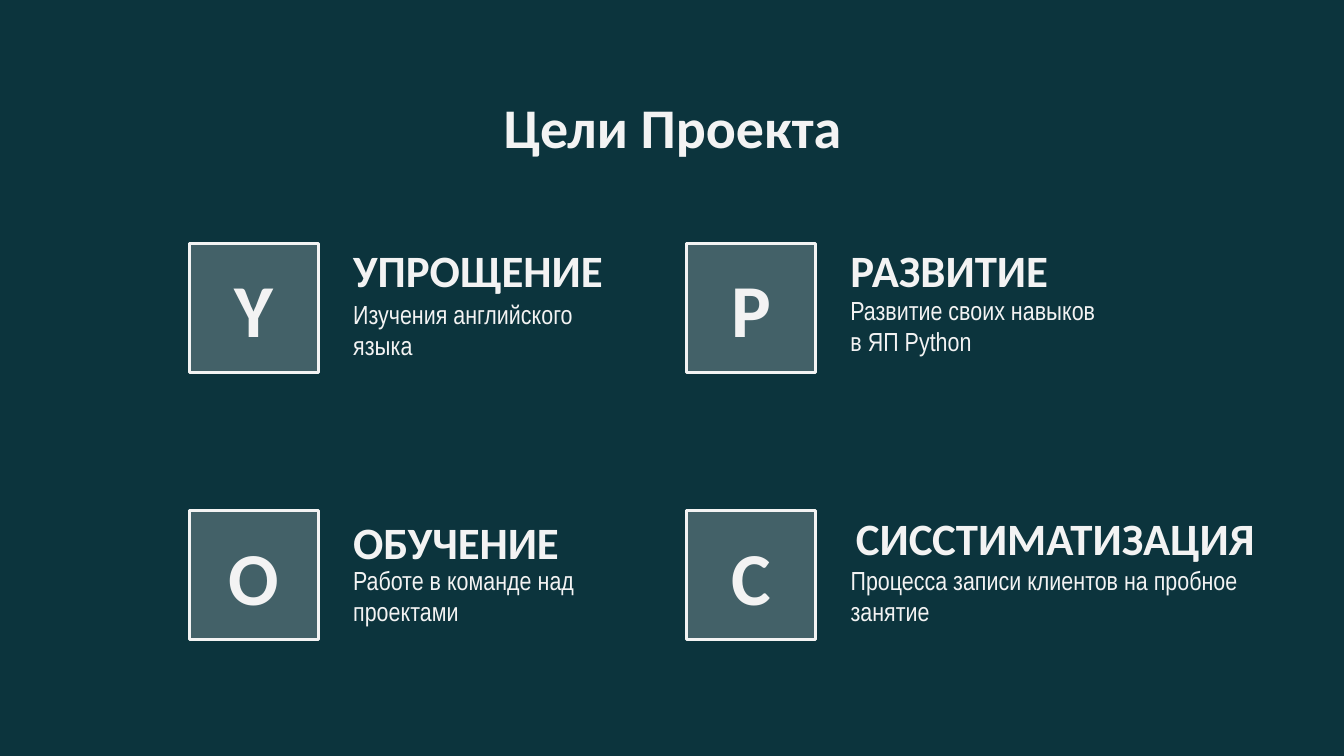
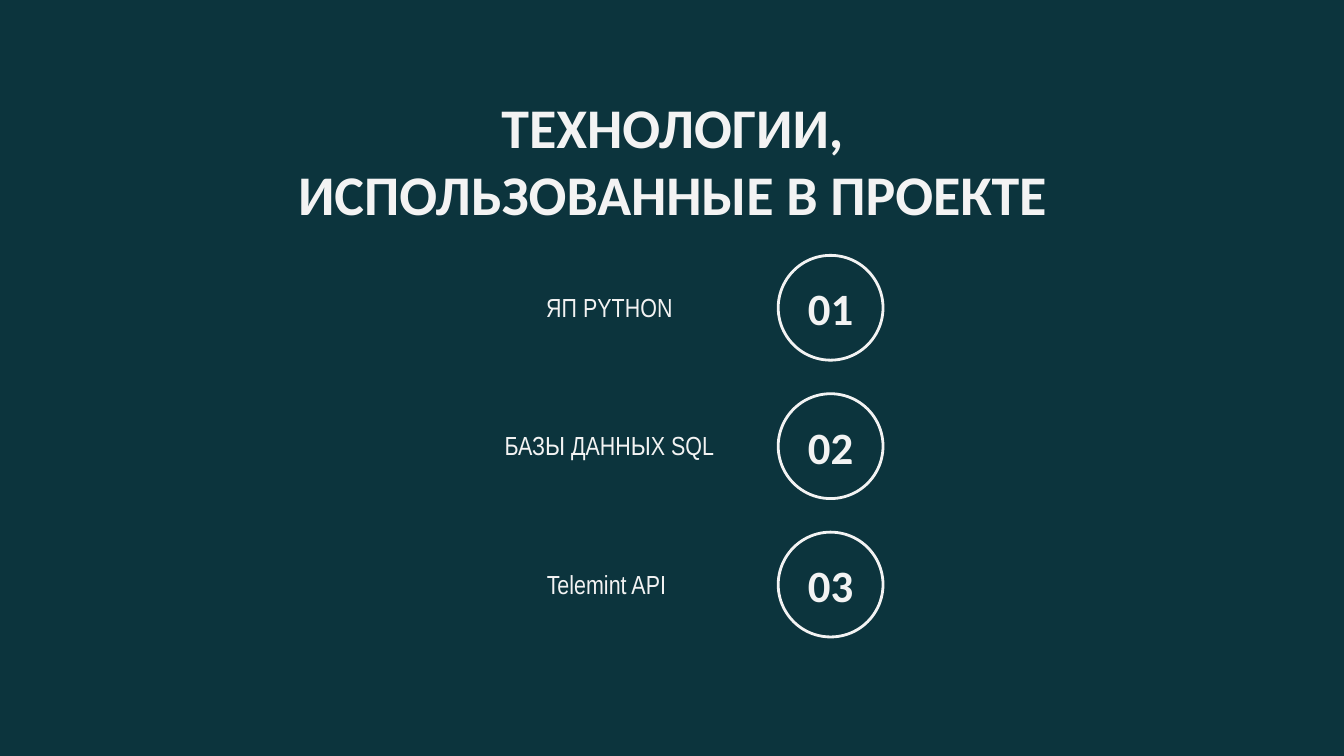
from pptx import Presentation
from pptx.dml.color import RGBColor
from pptx.enum.shapes import MSO_SHAPE
from pptx.enum.text import MSO_ANCHOR, PP_ALIGN
from pptx.oxml.xmlchemy import OxmlElement
from pptx.util import Inches, Pt

# Shared style
BACKGROUND, LIGHT = "0C343D", "F3F3F3"
HEADING_FONT, BODY_FONT = "Calibri", "Arial Narrow"
LEFT, CENTER = PP_ALIGN.LEFT, PP_ALIGN.CENTER
TOP, MIDDLE, BOTTOM = MSO_ANCHOR.TOP, MSO_ANCHOR.MIDDLE, MSO_ANCHOR.BOTTOM
TILE, CIRCLE = MSO_SHAPE.ROUNDED_RECTANGLE, MSO_SHAPE.OVAL

# Goals: letter, heading, heading shift (x, y), description, description drop, text width
GOALS = [
    ("Y", "УПРОЩЕНИЕ", (0, 0), "Изучения английского \nязыка", 0.31, 2.36),
    ("P", "РАЗВИТИЕ", (0, 0), "Развитие своих навыков \nв ЯП Python", 0.28, 2.36),
    ("O", "ОБУЧЕНИЕ", (0, 0.03), "Работе в команде над \nпроектами", 0.3, 2.36),
    ("C", "СИССТИМАТИЗАЦИЯ", (0.04, 0),
     "Процесса записи клиентов на пробное занятие", 0.3, 3.59),
]
TECHNOLOGIES = ["ЯП PYTHON", "БАЗЫ ДАННЫХ SQL", "Telemint API "]


def color(hex_code):
    return RGBColor.from_string(hex_code)


def write(shape, text, size, font_name, align, anchor):
    """Fill a shape with one paragraph in a single style."""
    frame = shape.text_frame
    frame.word_wrap = True
    frame.vertical_anchor = anchor
    frame.margin_left = frame.margin_right = Inches(0.1)
    frame.margin_top = frame.margin_bottom = Inches(0.1)
    para = frame.paragraphs[0]
    para.text = text
    para.alignment = align
    para.font.name = font_name
    para.font.size = Pt(size)
    para.font.bold = font_name == HEADING_FONT
    para.font.color.rgb = color(LIGHT)


def add_text(page, bounds, text, size, font_name, align=LEFT, anchor=TOP):
    box = page.shapes.add_textbox(*map(Inches, bounds))
    write(box, text, size, font_name, align, anchor)


def add_badge(page, kind, left, top, side, text, size):
    """Outlined square or circle with centred text."""
    badge = page.shapes.add_shape(kind, *map(Inches, (left, top, side, side)))
    badge.shadow.inherit = False
    badge.fill.background()
    badge.line.color.rgb = color(LIGHT)
    badge.line.width = Pt(1.5)
    write(badge, text, size, HEADING_FONT, CENTER, MIDDLE)
    return badge


def add_tile(page, left, top, letter):
    tile = add_badge(page, TILE, left, top, 0.96, letter, 40)
    tile.adjustments[0] = 0
    tile.fill.solid()
    tile.fill.fore_color.rgb = color(LIGHT)
    alpha = OxmlElement("a:alpha")
    alpha.set("val", "24000")
    tile.fill._xPr.solidFill[0].append(alpha)


def add_page(deck, title, title_height):
    page = deck.slides.add_slide(deck.slide_layouts[6])
    page.background.fill.solid()
    page.background.fill.fore_color.rgb = color(BACKGROUND)
    add_text(page, (0.79, 0.59, 8.43, title_height), title, 30, HEADING_FONT, CENTER)
    return page


def build_goals(deck):
    page = add_page(deck, "Цели Проекта", 0.63)
    for index, (letter, heading, shift, description, drop, width) in enumerate(GOALS):
        row, column = divmod(index, 2)
        left, top = 1.41 + 3.7 * column, 1.81 + 1.99 * row
        text_left = left + 1.12
        add_text(page, (text_left + shift[0], top + shift[1], width, 0.5),
                 heading, 24, HEADING_FONT, anchor=BOTTOM)
        add_text(page, (text_left, top + drop, width, 0.6), description, 14, BODY_FONT)
        add_tile(page, left, top, letter)


def build_technologies(deck):
    page = add_page(deck, "ТЕХНОЛОГИИ,\nИСПОЛЬЗОВАННЫЕ В ПРОЕКТЕ", 1.06)
    for index, technology in enumerate(TECHNOLOGIES):
        top = 1.9 + 1.03 * index
        add_text(page, (3.43, top + 0.12, 2.21, 0.53), technology, 14, BODY_FONT,
                 CENTER, MIDDLE)
        add_badge(page, CIRCLE, 5.79, top, 0.78, f"{index + 1:02}", 24)


def main():
    deck = Presentation()
    # Widescreen, 16:9
    deck.slide_width = Inches(10)
    deck.slide_height = Inches(10) * 9 // 16
    build_goals(deck)
    build_technologies(deck)
    deck.save("out.pptx")


if __name__ == "__main__":
    main()
